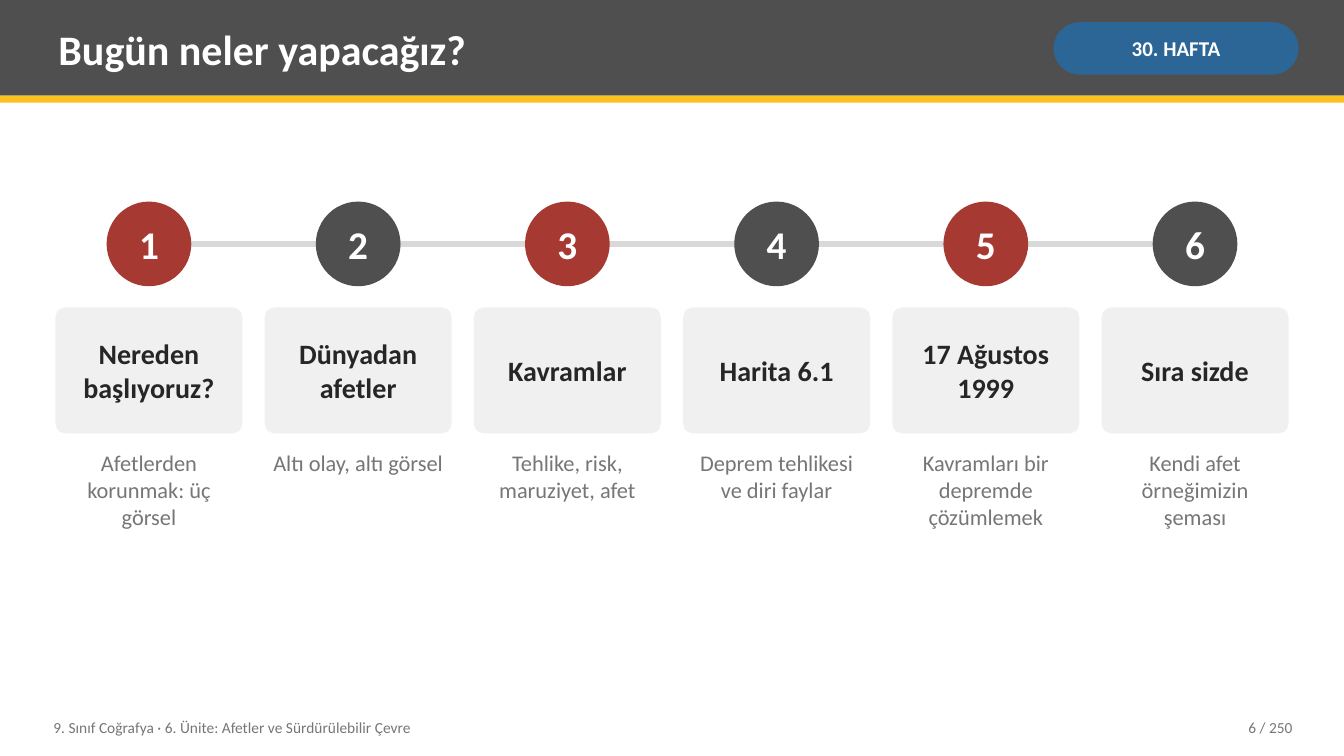
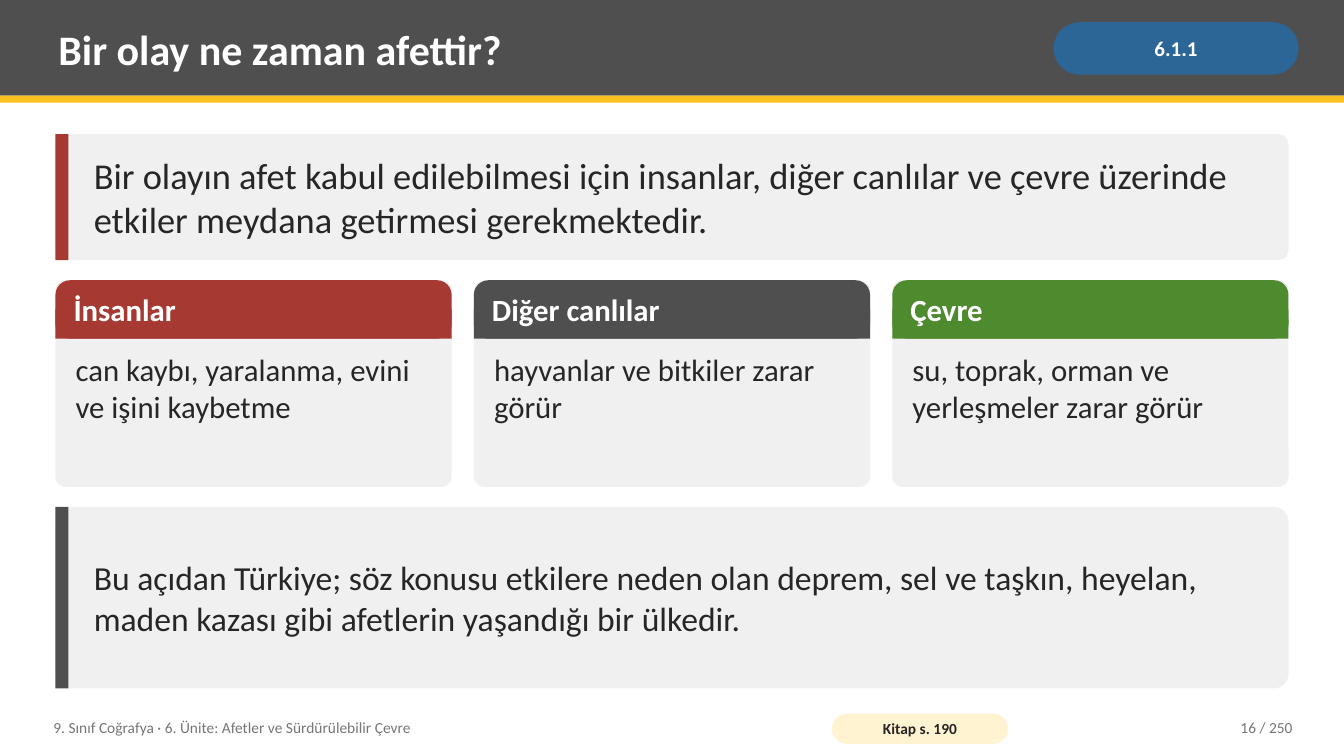
from dataclasses import dataclass

from lxml import etree
from pptx import Presentation
from pptx import util as u
from pptx.dml.color import RGBColor
from pptx.enum import shapes, text
from pptx.oxml.ns import qn

RECT = shapes.MSO_SHAPE.RECTANGLE
ROUND = shapes.MSO_SHAPE.ROUNDED_RECTANGLE
OVAL = shapes.MSO_SHAPE.OVAL
LEFT, CENTER, RIGHT = text.PP_ALIGN.LEFT, text.PP_ALIGN.CENTER, text.PP_ALIGN.RIGHT
TOP, MIDDLE = text.MSO_ANCHOR.TOP, text.MSO_ANCHOR.MIDDLE


@dataclass(frozen=True)
class Theme:
    font: str = "Calibri"
    white: str = "FFFFFF"
    ink: str = "262626"
    muted: str = "767676"
    dark: str = "4F4F4F"
    panel: str = "F0F0F0"
    rail: str = "D9D9D9"
    red: str = "A63A32"
    green: str = "4E8A2E"
    blue: str = "2C6696"
    yellow: str = "FCC021"
    cream: str = "FFF3D1"
    title: int = 30
    number: int = 28
    lead: int = 26
    closing: int = 24
    card: int = 22
    step: int = 20
    note: int = 16
    badge: int = 15
    footer: int = 11


T = Theme()
WIDTH, HEIGHT = 13.33, 7.5
MARGIN, GAP = 0.55, 0.22
CONTENT = WIDTH - 2 * MARGIN
INSETS = (0.08, 0.04)
UNIT = "9. Sınıf Coğrafya · 6. Ünite: Afetler ve Sürdürülebilir Çevre"
PAGES = 250


def columns(count):
    """Return the left edges and the common width of equal columns."""
    width = (CONTENT - GAP * (count - 1)) / count
    return [MARGIN + i * (width + GAP) for i in range(count)], width


def inches(*lengths):
    return [u.Inches(v) for v in lengths]


def write(sp, content, size, color=T.ink, bold=False, align=LEFT, anchor=MIDDLE,
          insets=INSETS, wrap=True):
    tf = sp.text_frame
    tf.word_wrap = wrap
    tf.vertical_anchor = anchor
    tf.margin_left = tf.margin_right = u.Inches(insets[0])
    tf.margin_top = tf.margin_bottom = u.Inches(insets[1])
    p = tf.paragraphs[0]
    p.alignment = align
    r = p.add_run()
    r.text = content
    r.font.name, r.font.size, r.font.bold = T.font, u.Pt(size), bold
    r.font.color.rgb = RGBColor.from_string(color)


def label(slide, box, content, size, **fmt):
    write(slide.shapes.add_textbox(*inches(*box)), content, size, **fmt)


def block(slide, kind, box, fill, corner=None):
    sp = slide.shapes.add_shape(kind, *inches(*box))
    sp.shadow.inherit = False
    sp.fill.solid()
    sp.fill.fore_color.rgb = RGBColor.from_string(fill)
    sp.line.fill.background()
    if corner is not None:
        sp.adjustments[0] = corner
    return sp


def rail(slide, x1, x2, y):
    line = slide.shapes.add_connector(shapes.MSO_CONNECTOR.STRAIGHT, *inches(x1, y, x2, y))
    line.line.color.rgb = RGBColor.from_string(T.rail)
    line.line.width = u.Pt(4)
    etree.SubElement(line._element.spPr, qn("a:effectLst"))


def header(slide, title, badge):
    block(slide, RECT, (0, 0, WIDTH, 0.95), T.dark)
    block(slide, RECT, (0, 0.95, WIDTH, 0.07), T.yellow)
    label(slide, (0.5, 0.07, 9.75, 0.82), title, T.title, color=T.white, bold=True)
    pill = block(slide, ROUND, (10.45, 0.22, 2.43, 0.52), T.blue, 0.5)
    write(pill, badge, T.badge, color=T.white, bold=True, align=CENTER, insets=(0.05, 0.02))


def footer(slide, page, source=None):
    top, height = 7.04, 0.36
    label(slide, (0.45, top, 7.6, height), UNIT, T.footer, color=T.muted)
    if source:
        pill = block(slide, ROUND, (8.25, 7.08, 1.75, 0.3), T.cream, 0.5)
        write(pill, source, T.footer, bold=True, align=CENTER, insets=(0.04, 0))
    label(slide, (11.3, top, 1.6, height), f"{page} / {PAGES}", T.footer,
          color=T.muted, align=RIGHT)


def timeline(slide, steps):
    """Draw numbered circles on a rail, each above a heading and a note."""
    top, diameter = 2, 0.84
    lefts, width = columns(len(steps))
    centers = [x + width / 2 for x in lefts]
    rail(slide, centers[0], centers[-1], top + diameter / 2)
    for i, (heading, note) in enumerate(steps):
        circle = block(slide, OVAL, (centers[i] - diameter / 2, top, diameter, diameter),
                       T.dark if i % 2 else T.red)
        write(circle, str(i + 1), T.number, color=T.white, bold=True, align=CENTER,
              insets=(0, 0), wrap=False)
        card = block(slide, ROUND, (lefts[i], 3.05, width, 1.25), T.panel, 0.08)
        write(card, heading, T.step, bold=True, align=CENTER, insets=(0.08, 0.08))
        label(slide, (lefts[i], 4.42, width, 1.9), note, T.note, color=T.muted,
              align=CENTER, anchor=TOP)


def statement(slide, top, height, content, size, accent):
    """Draw a full-width panel with an accent bar on its left edge."""
    block(slide, ROUND, (MARGIN, top, CONTENT, height), T.panel, 0.08)
    block(slide, RECT, (MARGIN, top, 0.13, height), accent)
    label(slide, (MARGIN + 0.3, top, CONTENT - 0.45, height), content, size)


def cards(slide, top, height, items):
    """Draw a row of equal cards, each with a coloured heading band."""
    band = 0.58
    lefts, width = columns(len(items))
    for x, (heading, body, color) in zip(lefts, items):
        block(slide, ROUND, (x, top, width, height), T.panel, 0.05)
        block(slide, ROUND, (x, top, width, band), color, 0.25)
        block(slide, RECT, (x, top + band / 2, width, band / 2), color)
        label(slide, (x + 0.1, top, width - 0.2, band), heading, T.card,
              color=T.white, bold=True)
        label(slide, (x + 0.12, top + band + 0.08, width - 0.24, height - band - 0.16),
              body, T.card, anchor=TOP)


def agenda_slide(slide):
    header(slide, "Bugün neler yapacağız?", "30. HAFTA")
    timeline(slide, [
        ("Nereden başlıyoruz?", "Afetlerden korunmak: üç görsel"),
        ("Dünyadan afetler", "Altı olay, altı görsel"),
        ("Kavramlar", "Tehlike, risk, maruziyet, afet"),
        ("Harita 6.1", "Deprem tehlikesi ve diri faylar"),
        ("17 Ağustos 1999", "Kavramları bir depremde çözümlemek"),
        ("Sıra sizde", "Kendi afet örneğimizin şeması"),
    ])
    footer(slide, 6)


def disaster_slide(slide):
    header(slide, "Bir olay ne zaman afettir?", "6.1.1")
    statement(slide, 1.33, 1.25,
              "Bir olayın afet kabul edilebilmesi için insanlar, diğer canlılar ve çevre "
              "üzerinde etkiler meydana getirmesi gerekmektedir.", T.lead, T.red)
    cards(slide, 2.78, 2.05, [
        ("İnsanlar", "can kaybı, yaralanma, evini ve işini kaybetme", T.red),
        ("Diğer canlılar", "hayvanlar ve bitkiler zarar görür", T.dark),
        ("Çevre", "su, toprak, orman ve yerleşmeler zarar görür", T.green),
    ])
    statement(slide, 5.03, 1.8,
              "Bu açıdan Türkiye; söz konusu etkilere neden olan deprem, sel ve taşkın, "
              "heyelan, maden kazası gibi afetlerin yaşandığı bir ülkedir.", T.closing, T.dark)
    footer(slide, 16, "Kitap s. 190")


def main():
    prs = Presentation()
    prs.slide_width, prs.slide_height = inches(WIDTH, HEIGHT)
    for build in (agenda_slide, disaster_slide):
        build(prs.slides.add_slide(prs.slide_layouts[6]))
    prs.save("out.pptx")


if __name__ == "__main__":
    main()
